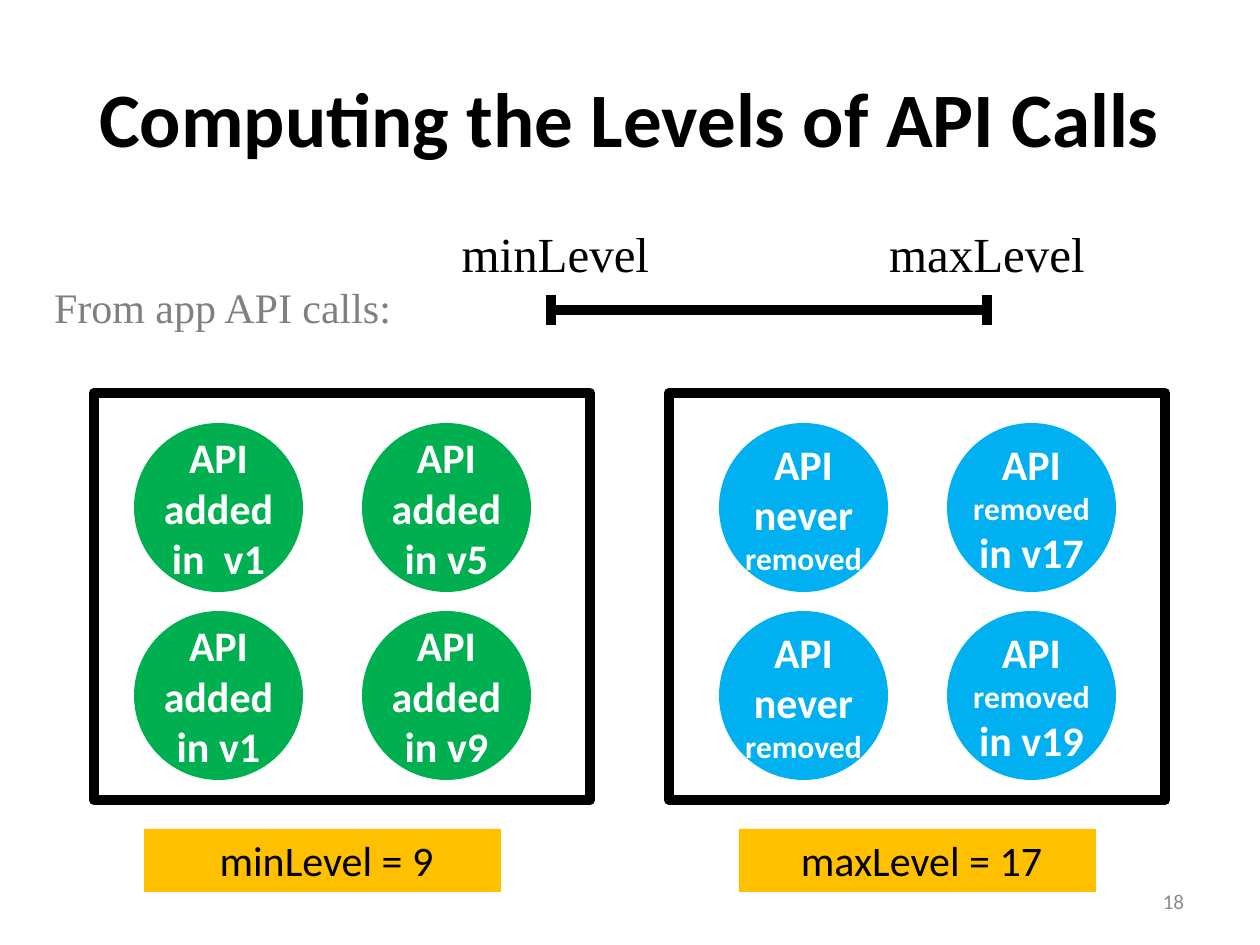
from dataclasses import dataclass

from lxml import etree
from pptx import Presentation
from pptx.dml.color import RGBColor
from pptx.enum.shapes import MSO_CONNECTOR, MSO_SHAPE
from pptx.enum.text import MSO_ANCHOR, PP_ALIGN
from pptx.oxml.ns import qn
from pptx.util import Emu, Pt

PX = 914400 / 126
RECTANGLE, OVAL = MSO_SHAPE.RECTANGLE, MSO_SHAPE.OVAL
STRAIGHT = MSO_CONNECTOR.STRAIGHT
TOP, MIDDLE = MSO_ANCHOR.TOP, MSO_ANCHOR.MIDDLE
CENTER, RIGHT, JUSTIFY = PP_ALIGN.CENTER, PP_ALIGN.RIGHT, PP_ALIGN.JUSTIFY


@dataclass(frozen=True)
class Theme:
    black: str = "000000"
    white: str = "FFFFFF"
    caption: str = "808080"
    number: str = "8C8C8C"
    added: str = "00B050"
    removed: str = "00B0F0"
    result: str = "FFC000"
    sans: str = "Calibri"
    serif: str = "Times New Roman"
    title_size: int = 44
    level_size: int = 28
    body_size: int = 24
    small_size: int = 18
    number_size: int = 12
    stroke: int = 6


THEME = Theme()


def px(*lengths):
    return [Emu(round(length * PX)) for length in lengths]


def color(value):
    return RGBColor.from_string(value)


def write(shape, runs, size, ink, font=THEME.sans, bold=False, align=CENTER,
          anchor=MIDDLE, insets=(0, 0, 0, 0)):
    frame = shape.text_frame
    frame.word_wrap = True
    frame.vertical_anchor = anchor
    (frame.margin_left, frame.margin_top,
     frame.margin_right, frame.margin_bottom) = px(*insets)
    paragraph = frame.paragraphs[0]
    paragraph.alignment = align
    paragraph.font.name = font
    paragraph.font.size = Pt(size)
    paragraph.font.bold = bold
    paragraph.font.color.rgb = color(ink)
    for text, run_size in runs:
        run = paragraph.add_run()
        run.text = text
        if run_size != size:
            run.font.size = Pt(run_size)


def add_text(slide, box, text, size, ink, **style):
    write(slide.shapes.add_textbox(*px(*box)), [(text, size)], size, ink, **style)


def add_block(slide, kind, box, fill, outline=None):
    shape = slide.shapes.add_shape(kind, *px(*box))
    shape.shadow.inherit = False
    shape.fill.solid()
    shape.fill.fore_color.rgb = color(fill)
    if outline:
        shape.line.color.rgb = color(outline)
        shape.line.width = Pt(THEME.stroke)
    else:
        shape.line.fill.background()
    return shape


def add_line(slide, *ends):
    line = slide.shapes.add_connector(STRAIGHT, *px(*ends))
    line.line.color.rgb = color(THEME.black)
    line.line.width = Pt(THEME.stroke)
    etree.SubElement(line._element.spPr, qn("a:effectLst"))


def add_level_range(slide, left, top, width, height):
    add_text(slide, (left, top + 58, 362, 50), "From app API calls:",
             THEME.body_size, THEME.caption, font=THEME.serif, align=JUSTIFY, anchor=TOP)
    for offset, label_width, label in ((407, 189, "minLevel"), (814, 238, "maxLevel")):
        add_text(slide, (left + offset, top, label_width, 59), label,
                 THEME.level_size, THEME.black, font=THEME.serif, anchor=TOP)
    start, end = left + 497, left + width
    middle = top + height - 15
    add_line(slide, start, middle, end, middle)
    for x in (start, end):
        add_line(slide, x, middle - 15, x, middle + 15)


def add_call_panel(slide, box, fill, calls, indent, result, result_indent):
    left, top, _, height = box
    add_block(slide, RECTANGLE, box, THEME.white, THEME.black)
    for index, runs in enumerate(calls):
        row, column = divmod(index, 2)
        circle = add_block(slide, OVAL, (left + indent + 228 * column,
                                         top + 30 + 188 * row, 169, 169), fill)
        write(circle, runs, THEME.body_size, THEME.white, bold=True)
    badge = add_block(slide, RECTANGLE,
                      (left + result_indent, top + height + 29, 357, 63), THEME.result)
    write(badge, [(result, THEME.body_size)], THEME.body_size, THEME.black,
          anchor=TOP, insets=(13, 6, 5, 6))


def main():
    presentation = Presentation()
    presentation.slide_width, presentation.slide_height = px(1260, 945)
    slide = presentation.slides.add_slide(presentation.slide_layouts[6])

    add_text(slide, (63, 38, 1134, 158), "Computing the Levels of API Calls",
             THEME.title_size, THEME.black, bold=True, insets=(13, 6, 13, 6))
    add_level_range(slide, 54, 224, 933, 101)

    body, small = THEME.body_size, THEME.small_size
    added = [[(f"API added in {version}", body)] for version in (" v1", "v5", "v1", "v9")]
    never = [("API never ", body), ("removed", small)]
    removed = [[("API ", body), ("removed ", small), (f"in {version}", body)]
               for version in ("v17", "v19")]
    add_call_panel(slide, (94, 393, 496, 407), THEME.added, added, 40,
                   "minLevel = 9", 50)
    add_call_panel(slide, (669, 393, 496, 407), THEME.removed,
                   [never, removed[0], never, removed[1]], 50, "maxLevel = 17", 70)

    add_text(slide, (903, 876, 294, 50), "18", THEME.number_size, THEME.number,
             align=RIGHT, insets=(13, 6, 13, 6))
    presentation.save("out.pptx")


if __name__ == "__main__":
    main()
